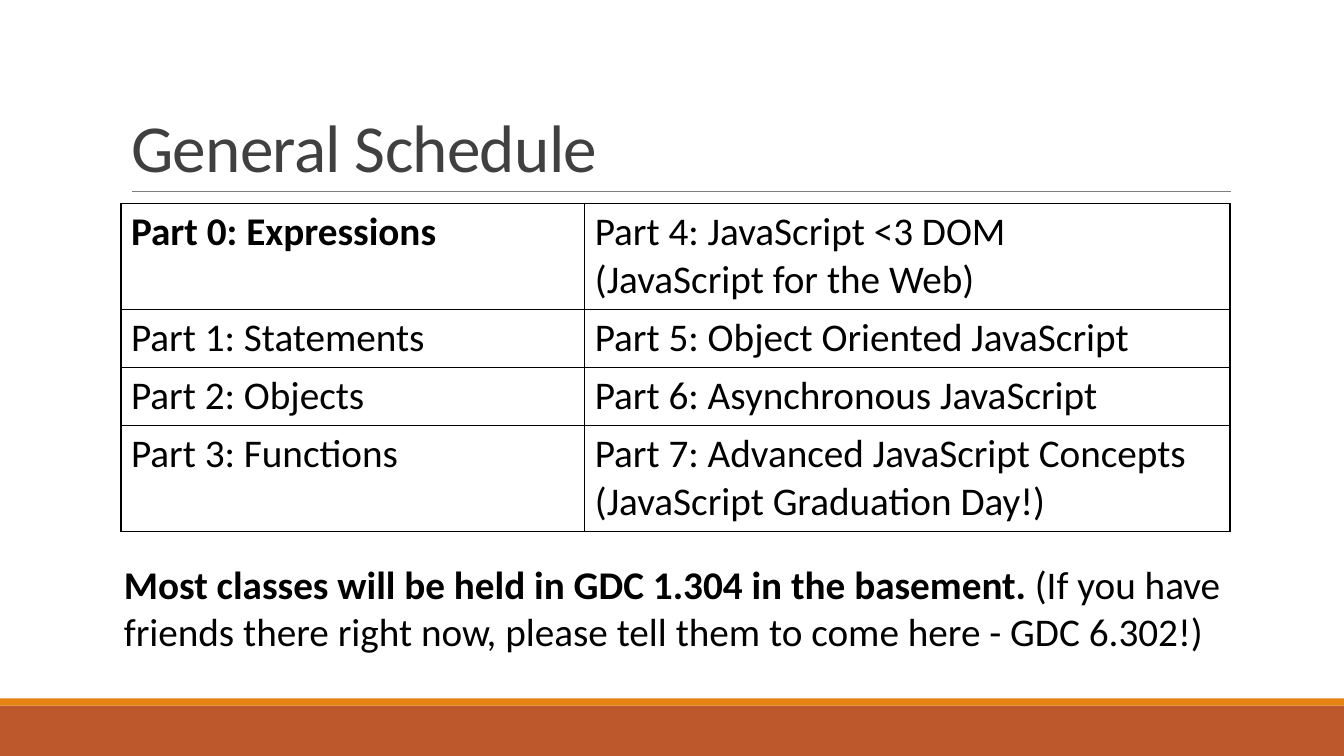
from pptx import Presentation
from pptx.dml.color import RGBColor
from pptx.enum import shapes, text
from pptx.oxml.ns import qn
from pptx.util import Emu, Pt
from lxml import etree

SCALE = 9144  # EMU per px, 100 px to the inch


def px(n):
    return Emu(n * SCALE)


def color(code):
    return RGBColor.from_string(code)


class Deck:
    font = "Calibri"
    ink = "000000"
    body = 28

    def __init__(self, wide, high):
        self.prs = Presentation()
        self.prs.slide_width, self.prs.slide_height = px(wide), px(high)
        self.slide = self.prs.slides.add_slide(self.prs.slide_layouts[5])

    def style(self, run, size=body, ink=ink, bold=False):
        look = {"name": self.font, "size": Pt(size), "bold": bold}
        for key, val in look.items():
            setattr(run.font, key, val)
        run.font.color.rgb = color(ink)

    def place(self, shape, *box):
        for key, val in zip(("left", "top", "width", "height"), box):
            setattr(shape, key, px(val))

    def label(self, para, words, **look):
        for i, line in enumerate(words.split("\n")):
            if i:
                para.add_line_break()
            run = para.add_run()
            run.text = line
            self.style(run, **look)

    def bar(self, fill, *box):
        bar = self.slide.shapes.add_shape(
            shapes.MSO_SHAPE.RECTANGLE, *map(px, box))
        bar.shadow.inherit = False
        bar.fill.solid()
        bar.fill.fore_color.rgb = color(fill)
        bar.line.fill.background()

    def rule(self, ink, width, *ends):
        rule = self.slide.shapes.add_connector(
            shapes.MSO_CONNECTOR.STRAIGHT, *map(px, ends))
        rule.line.color.rgb = color(ink)
        rule.line.width = Pt(width)
        etree.SubElement(rule._element.spPr, qn("a:effectLst"))

    def title(self, words, *box):
        title = self.slide.shapes.title
        self.place(title, *box)
        frame = title.text_frame
        look = {"word_wrap": True, "auto_size": text.MSO_AUTO_SIZE.NONE,
                "vertical_anchor": text.MSO_ANCHOR.BOTTOM}
        for key, val in look.items():
            setattr(frame, key, val)
        para = frame.paragraphs[0]
        para.alignment = text.PP_ALIGN.LEFT
        para.line_spacing = 0.85
        self.label(para, words, size=48, ink="404040")
        para.runs[0].font._element.set("spc", "-50")

    def note(self, parts, *box):
        frame = self.slide.shapes.add_textbox(*map(px, box)).text_frame
        frame.word_wrap = True
        for words, bold in parts:
            self.label(frame.paragraphs[0], words, bold=bold)

    def edge(self, cell):
        props = cell._tc.get_or_add_tcPr()
        for side in ("lnL", "lnR", "lnT", "lnB"):
            line = etree.SubElement(props, qn("a:" + side), w=str(Pt(1)))
            fill = etree.SubElement(line, qn("a:solidFill"))
            etree.SubElement(fill, qn("a:srgbClr"), val=self.ink)

    def table(self, rows, left, top, wides, highs):
        table = self.slide.shapes.add_table(
            len(rows), len(wides), px(left), px(top),
            px(sum(wides)), px(sum(highs))).table
        table.first_row = table.horz_banding = False
        for col, wide in zip(table.columns, wides):
            col.width = px(wide)
        for r, (row, high) in enumerate(zip(rows, highs)):
            table.rows[r].height = px(high)
            for c, (words, bold) in enumerate(row):
                cell = table.cell(r, c)
                self.edge(cell)
                cell.fill.background()
                self.label(cell.text_frame.paragraphs[0], words, bold=bold)


def main():
    deck = Deck(1333, 750)

    # Footer bands and title rule
    deck.bar("BD582C", 0, 700, 1333, 50)
    deck.bar("E48312", 0, 693, 1333, 7)
    deck.rule("808080", 0.5, 131, 190, 1221, 190)

    # Title
    deck.title("General Schedule", 120, 31, 1100, 159)

    # Course parts
    rows = [
        [("Part 0: Expressions", True),
         ("Part 4: JavaScript <3 DOM \n(JavaScript for the Web)", False)],
        [("Part 1: Statements", False),
         ("Part 5: Object Oriented JavaScript", False)],
        [("Part 2: Objects", False),
         ("Part 6: Asynchronous JavaScript", False)],
        [("Part 3: Functions", False),
         ("Part 7: Advanced JavaScript Concepts \n"
          "(JavaScript Graduation Day!)", False)],
    ]
    deck.table(rows, 120, 202, (460, 640), (105, 57, 57, 105))

    # Place of the classes
    deck.note([
        ("Most classes will be held in GDC 1.304 in the basement. ", True),
        ("(If you have friends there right now, please tell them to come "
         "here - GDC 6.302!)", False),
    ], 113, 551, 1147, 104)

    deck.prs.save("out.pptx")


if __name__ == "__main__":
    main()
